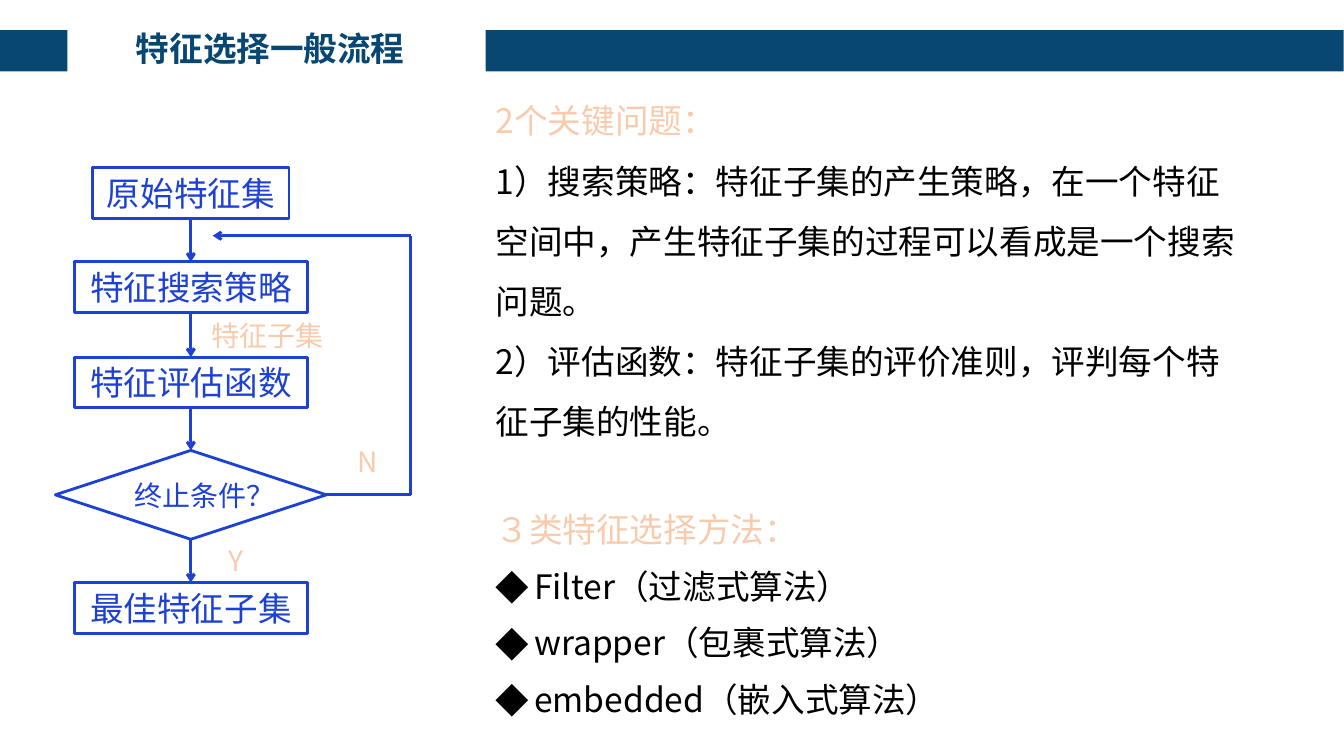
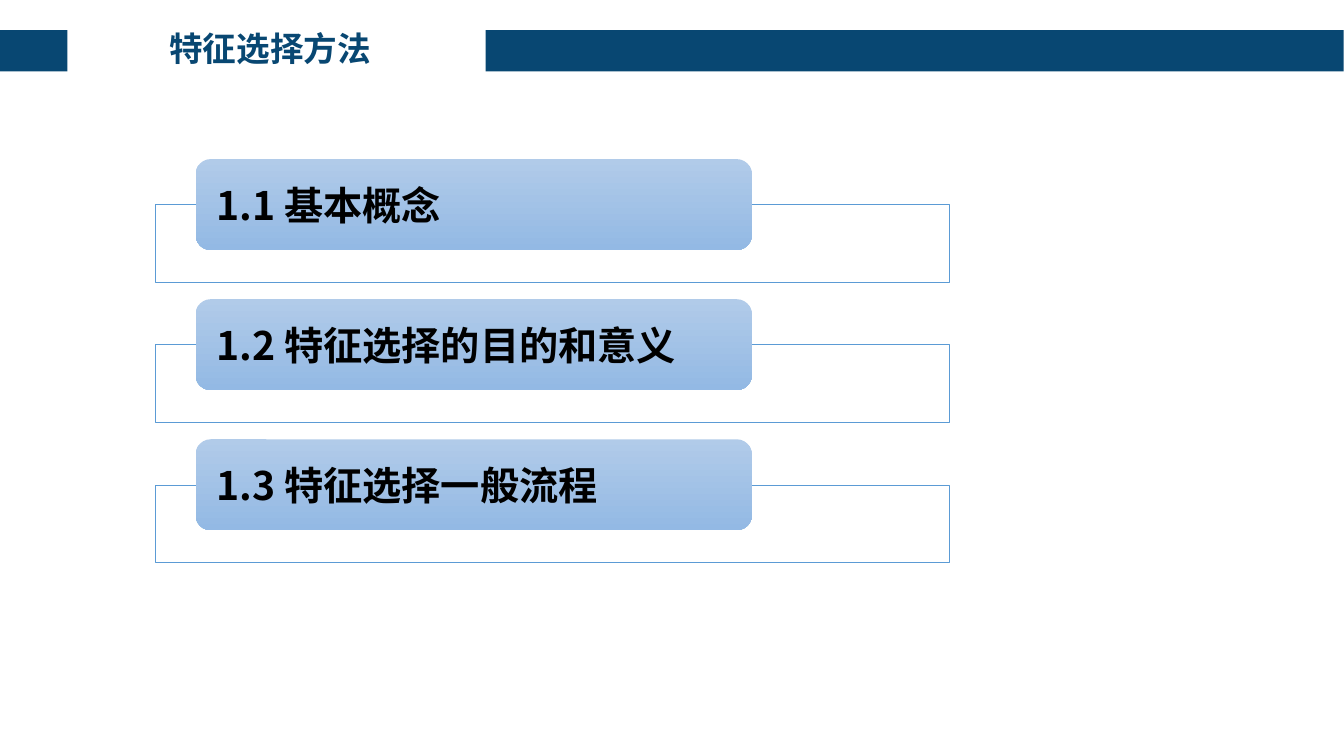
from lxml import etree
from pptx import Presentation, util as u
from pptx.dml.color import RGBColor
from pptx.enum import shapes, text
from pptx.oxml.ns import qn

FACE = "Noto Sans CJK SC"
NAVY, BLUE, PEACH, RUST = "084772", "1D41D5", "F8CBAD", "ED7D31"
BLACK, WHITE, EDGE = "000000", "FFFFFF", "5B9BD5"
SHADE = ("B1CBE9", "93B9E4")
KIND = shapes.MSO_SHAPE
LEFT, MID = text.PP_ALIGN.LEFT, text.PP_ALIGN.CENTER
HEAD = dict(size=u.Pt(24), bold=True, color=NAVY)
NODE = dict(size=u.Pt(24), color=BLUE)
TEST = dict(size=u.Pt(20), color=BLUE)
MARK = dict(size=u.Pt(20), color=PEACH, edge=RUST)
TOPIC = dict(size=u.Pt(24), color=PEACH, edge=RUST)
BODY = dict(size=u.Pt(24), color=BLACK)
ITEM = dict(size=u.Pt(28), bold=True, color=BLACK)
WIDE = dict(line_spacing=u.Pt(43))
TIGHT = dict(line_spacing=u.Pt(28.5), space_before=u.Pt(12))


def rgb(hue):
    return RGBColor.from_string(hue)


def put(item, form):
    for key, value in form.items():
        setattr(item, key, value)


def add(node, tag, **attrs):
    return etree.SubElement(node, qn(tag), attrs)


def write(para, words, form):
    run = para.add_run()
    run.text = words
    form = dict(form, name=FACE)
    run.font.color.rgb = rgb(form.pop("color"))
    edge = form.pop("edge", None)
    put(run.font, form)
    props = run.font._element
    add(props, "a:ea", typeface=FACE)
    if edge:
        line = add(props, "a:ln", w=str(u.Pt(1.75)))
        add(add(line, "a:solidFill"), "a:srgbClr", val=edge)
        props.insert(0, line)


def label(frame, words, form, align=MID):
    put(frame, dict(word_wrap=True, vertical_anchor=text.MSO_ANCHOR.MIDDLE))
    para = frame.paragraphs[0]
    para.alignment = align
    write(para, words, form)


def box(slide, kind, area, fill=None, edge=None, width=2):
    shape = slide.shapes.add_shape(kind, *map(u.Cm, area))
    shape.shadow.inherit = False
    if fill:
        shape.fill.solid()
        shape.fill.fore_color.rgb = rgb(fill)
    else:
        shape.fill.background()
    if edge:
        shape.line.color.rgb = rgb(edge)
        shape.line.width = u.Pt(width)
    else:
        shape.line.fill.background()
    return shape


def note(slide, area, words, form):
    frame = slide.shapes.add_textbox(*map(u.Cm, area)).text_frame
    label(frame, words, form)


def link(slide, start, end, arrow=True):
    line = slide.shapes.add_connector(
        shapes.MSO_CONNECTOR.STRAIGHT, *map(u.Cm, start + end))
    line.line.color.rgb = rgb(BLUE)
    line.line.width = u.Pt(2)
    if arrow:
        add(line.line._get_or_add_ln(), "a:tailEnd", type="arrow")
    add(line._element.spPr, "a:effectLst")


def bullet(para):
    props = para._p.get_or_add_pPr()
    gap = u.Cm(0.97)
    props.set("marL", str(gap))
    props.set("indent", str(-gap))
    add(props, "a:buFont", typeface=FACE)
    add(props, "a:buChar", char="◆")


def prose(slide, area, rows):
    frame = slide.shapes.add_textbox(*map(u.Cm, area)).text_frame
    frame.word_wrap = True
    for num, (words, form, gaps, dot) in enumerate(rows):
        para = frame.add_paragraph() if num else frame.paragraphs[0]
        put(para, gaps)
        if dot:
            bullet(para)
        write(para, words, form)


def page(deck, title):
    slide = deck.slides.add_slide(deck.slide_layouts[6])
    for left, width in ((0, 1.7), (12.24, 21.62)):
        box(slide, KIND.RECTANGLE, (left, 0.76, width, 1.04), NAVY)
    note(slide, (0.31, 0.58, 13, 1.27), title, HEAD)
    return slide


def flow(slide):
    mid, rect = 4.81, KIND.RECTANGLE
    steps = (
        ("原始特征集", rect, 4.22, 4.95, 1.28, NODE),
        ("特征搜索策略", rect, 6.6, 5.87, 1.28, NODE),
        ("特征评估函数", rect, 9, 5.87, 1.28, NODE),
        ("终止条件？", KIND.FLOWCHART_DECISION, 11.35, 6.83, 2.24, TEST),
        ("最佳特征子集", rect, 14.68, 5.87, 1.28, NODE),
    )
    last = None
    for words, kind, top, width, high, form in steps:
        area = (mid - width / 2, top, width, high)
        label(box(slide, kind, area, edge=BLUE).text_frame, words, form)
        if last:
            link(slide, (mid, last), (mid, top))
        last = top + high
    turns = ((8.22, 12.47), (10.35, 12.47), (10.35, 5.94), (5.36, 5.94))
    for start, end in zip(turns, turns[1:]):
        link(slide, start, end, end == turns[-1])
    for words, left, top, width in (
            ("特征子集", 4.27, 7.9, 4.95),
            ("Y", 5.36, 13.56, 1.17),
            ("N", 8.69, 11.07, 1.17)):
        note(slide, (left, top, width, 1.11), words, MARK)


def topics(slide):
    prose(slide, (12.24, 1.9, 19.28, 9.47), (
        ("2个关键问题：", TOPIC, WIDE, False),
        ("1）搜索策略：特征子集的产生策略，在一个特征空间中，"
         "产生特征子集的过程可以看成是一个搜索问题。", BODY, WIDE, False),
        ("2）评估函数：特征子集的评价准则，评判每个特征子集的性能。",
         BODY, WIDE, False)))
    ways = ("Filter（过滤式算法）", "wrapper（包裹式算法）", "embedded（嵌入式算法）")
    prose(slide, (12.24, 12.2, 20.02, 6.4),
          [("３类特征选择方法：", TOPIC, WIDE, False)]
          + [(way, BODY, TIGHT, True) for way in ways])


def agenda(slide):
    items = ("基本概念", "特征选择的目的和意义", "特征选择一般流程")
    for num, words in enumerate(items):
        drop = 3.53 * num
        box(slide, KIND.RECTANGLE, (3.91, 5.16 + drop, 20.02, 1.96),
            WHITE, EDGE, 0.5)
        card = box(slide, KIND.ROUNDED_RECTANGLE,
                   (4.93, 4.01 + drop, 14.02, 2.29))
        card.fill.gradient()
        card.fill.gradient_angle = 270
        for stop, hue in zip(card.fill.gradient_stops, SHADE):
            stop.color.rgb = rgb(hue)
        card.text_frame.margin_left = u.Cm(0.42)
        label(card.text_frame, f"1.{num + 1} {words}", ITEM, LEFT)


def main():
    deck = Presentation()
    put(deck, dict(slide_width=u.Cm(33.87), slide_height=u.Cm(19.05)))
    slide = page(deck, "特征选择一般流程")
    flow(slide)
    topics(slide)
    agenda(page(deck, "特征选择方法"))
    deck.save("out.pptx")


if __name__ == "__main__":
    main()
